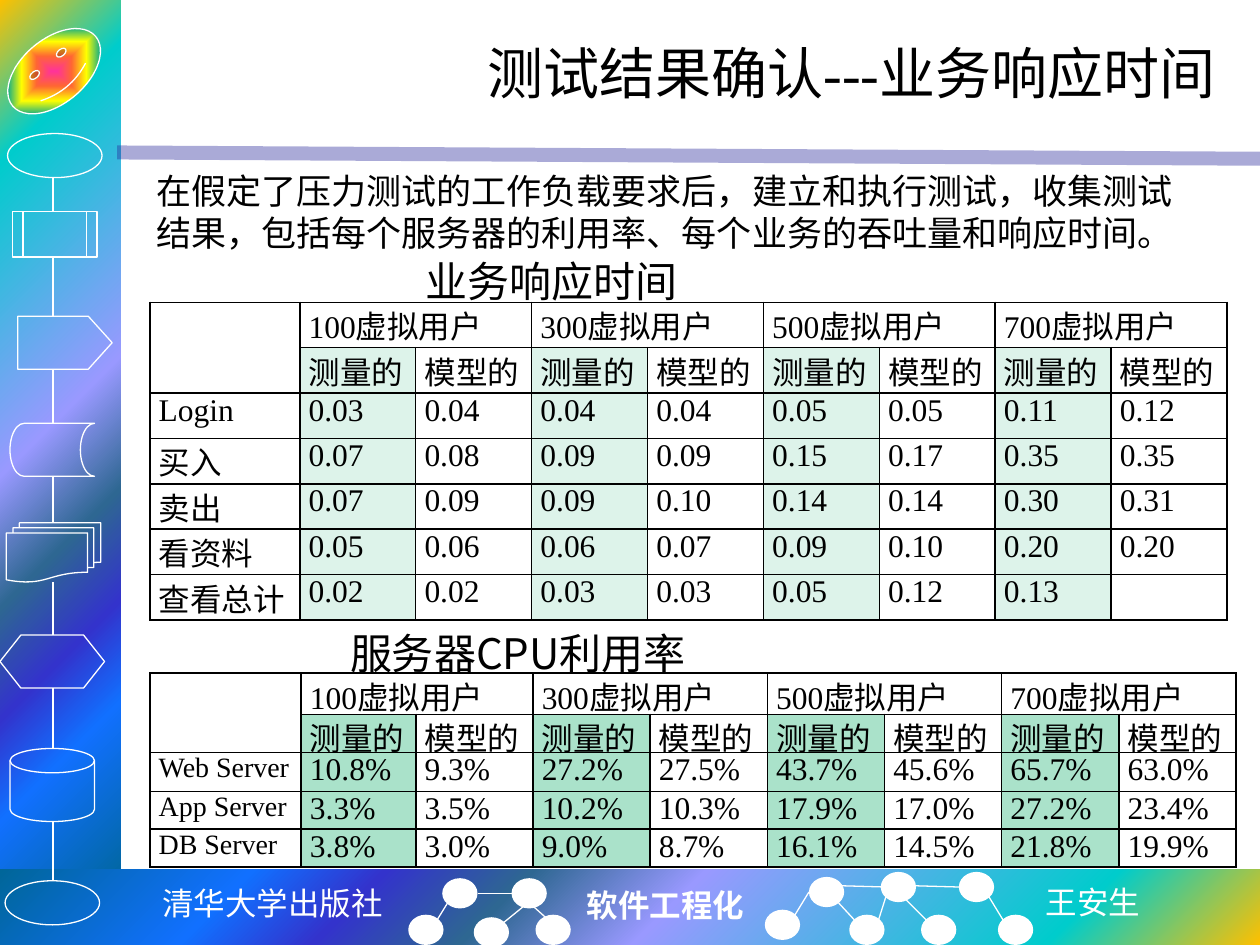
from dataclasses import dataclass

from lxml import etree
from pptx import Presentation
from pptx.dml.color import RGBColor
from pptx.enum import shapes, text
from pptx.oxml import ns
from pptx.util import Inches, Pt

KIND = shapes.MSO_SHAPE
ALIGN = text.PP_ALIGN


@dataclass(frozen=True)
class Theme:
    """Colours, fonts and type sizes of the slide."""
    ink: str = "000000"
    white: str = "FFFFFF"
    rule: str = "262699"
    pale_green: str = "DDF3EA"
    green: str = "AAE2CA"
    sea: tuple = ((0, "FFC000"), (16, "00CCCC"), (47, "9999FF"), (60, "2E6792"),
                  (71, "3333CC"), (81, "1170FF"), (100, "006699"))
    rainbow: tuple = ((0, "FF3399"), (25, "FF6633"), (50, "FFFF00"),
                      (75, "01A78F"), (100, "3366FF"))
    serif: str = "Times New Roman"
    sans: str = "Noto Sans CJK SC"
    mono: str = "DejaVu Sans Mono"
    title: int = 32
    caption: int = 24
    body: int = 20
    cell: int = 18
    small: int = 16


THEME = Theme()


def child(parent, tag, **attributes):
    """Append a DrawingML element and return it."""
    return etree.SubElement(parent, ns.qn("a:" + tag), attributes)


def add_run(paragraph, words, size, font=THEME.serif, color=THEME.ink, bold=False):
    """Add one formatted run."""
    run = paragraph.add_run()
    run.text = words
    run.font.size, run.font.name, run.font.bold = Pt(size), font, bold
    run.font.color.rgb = RGBColor.from_string(color)


def add_text(slide, box, words, size, font=THEME.serif, color=THEME.ink,
             align=ALIGN.LEFT, wrap=True, bold=False, anchor=text.MSO_ANCHOR.TOP):
    """Place one paragraph in a text box."""
    frame = slide.shapes.add_textbox(*map(Inches, box)).text_frame
    frame.word_wrap, frame.vertical_anchor = wrap, anchor
    frame.paragraphs[0].alignment = align
    add_run(frame.paragraphs[0], words, size, font, color, bold)


def add_figure(slide, kind, box, fill=None, outlined=True):
    """Place a preset shape with an optional fill and a thin white outline."""
    figure = slide.shapes.add_shape(kind, *map(Inches, box))
    figure.shadow.inherit = False
    if fill:
        figure.fill.solid()
        figure.fill.fore_color.rgb = RGBColor.from_string(fill)
    else:
        figure.fill.background()
    if outlined:
        figure.line.width = Pt(0.75)
        figure.line.color.rgb = RGBColor.from_string(THEME.white)
    else:
        figure.line.fill.background()
    return figure


def add_gradient(figure, stops, spread, focus):
    """Fill a shape with a gradient that spreads from the focus rectangle."""
    gradient = etree.Element(ns.qn("a:gradFill"), rotWithShape="1")
    stop_list = child(gradient, "gsLst")
    for position, color in stops:
        child(child(stop_list, "gs", pos=str(position * 1000)), "srgbClr", val=color)
    course = child(gradient, "path", **{"path": spread})
    child(course, "fillToRect", **{side: str(share * 1000) for side, share in zip("ltrb", focus)})
    properties = figure._element.spPr
    properties.replace(properties.find(ns.qn("a:noFill")), gradient)


def add_line(slide, start, end, color=THEME.white, width=0.75):
    """Draw a straight line."""
    line = slide.shapes.add_connector(shapes.MSO_CONNECTOR.STRAIGHT, *map(Inches, start + end))
    line.line.color.rgb = RGBColor.from_string(color)
    line.line.width = Pt(width)
    child(line._element.spPr, "effectLst")
    return line


def add_band(slide, box, focus):
    """Draw a borderless band with the sea gradient."""
    band = add_figure(slide, KIND.RECTANGLE, box, outlined=False)
    add_gradient(band, THEME.sea, "circle", focus)


def add_flowchart(slide, box):
    """Draw the column of flowchart symbols on the side band."""
    left, top = box[:2]
    face = add_figure(slide, KIND.SMILEY_FACE, (left, top + 0.31, 0.86, 0.51))
    face.adjustments[0] = 0.047
    face.rotation = -40
    add_gradient(face, THEME.rainbow, "shape", (50, 50, 50, 50))
    symbols = [
        (KIND.OVAL, 0.06, 1.06, 0.75, 0.35),
        (KIND.FLOWCHART_PREDEFINED_PROCESS, 0.1, 1.68, 0.67, 0.36),
        (KIND.PENTAGON, 0.14, 2.51, 0.75, 0.42),
        (KIND.FLOWCHART_STORED_DATA, 0.08, 3.36, 0.67, 0.42),
        (KIND.FLOWCHART_MULTIDOCUMENT, 0.05, 4.15, 0.75, 0.47),
        (KIND.FLOWCHART_PREPARATION, 0, 5.04, 0.83, 0.42),
        (KIND.FLOWCHART_MAGNETIC_DISK, 0.08, 5.94, 0.67, 0.58),
        (KIND.OVAL, 0.04, 6.99, 0.75, 0.35),
    ]
    for kind, x, y, width, height in symbols:
        symbol = add_figure(slide, kind, (left + x, top + y, width, height))
        if kind == KIND.PENTAGON:
            symbol.adjustments[0] = 0.45
    for upper, lower in zip(symbols, symbols[1:]):
        add_line(slide, (left + 0.42, top + upper[2] + upper[4]), (left + 0.42, top + lower[2]))


def add_footer(slide, box):
    """Place the labels and node networks on the bottom band."""
    left, top = box[:2]
    labels = [
        ("清华大学出版社", 1.19, 0.07, 1.97, THEME.mono, False),
        ("软件工程化", 4.56, 0.08, 1.46, THEME.serif, True),
        ("王安生", 8.2, 0.06, 0.96, THEME.sans, False),
    ]
    for words, x, y, width, font, bold in labels:
        add_text(slide, (left + x, top + y, width, 0.4), words, THEME.cell, font,
                 THEME.white, wrap=False, bold=bold)
    nodes = [(3.24, 0.36), (3.51, 0.07), (3.76, 0.38), (4.06, 0.07), (4.25, 0.36),
             (6.07, 0.32), (6.42, 0.06), (6.74, 0.36), (6.99, 0.02), (7.31, 0.36),
             (7.61, 0.02), (7.92, 0.36)]
    for x, y in nodes:
        add_figure(slide, KIND.OVAL, (left + x, top + y, 0.28, 0.24), THEME.white, False)
    links = [(3.47, 0.4, 3.55, 0.27), (4, 0.42, 4.16, 0.29), (4.06, 0.19, 3.79, 0.19),
             (4.34, 0.39, 4.24, 0.3), (6.31, 0.36, 6.42, 0.18), (6.78, 0.4, 6.65, 0.26),
             (6.68, 0.13, 7.03, 0.14), (6.97, 0.41, 7.03, 0.22), (7.35, 0.4, 7.15, 0.2),
             (7.26, 0.13, 7.61, 0.14), (7.96, 0.4, 7.85, 0.22)]
    for x1, y1, x2, y2 in links:
        add_line(slide, (left + x1, top + y1), (left + x2, top + y2))


def style_cell(cell, words, size, fill):
    """Write a table cell with its fill and black borders."""
    cell.margin_left = cell.margin_right = Inches(0.07)
    cell.margin_top = cell.margin_bottom = 0
    paragraph = cell.text_frame.paragraphs[0]
    paragraph.alignment = ALIGN.JUSTIFY
    paragraph.font.size = Pt(size)
    if words:
        add_run(paragraph, words, size)
    for side in ("lnL", "lnR", "lnT", "lnB"):
        border = child(cell._tc.get_or_add_tcPr(), side, w=str(Pt(1)))
        child(child(border, "solidFill"), "srgbClr", val=THEME.ink)
    if fill:
        cell.fill.solid()
        cell.fill.fore_color.rgb = RGBColor.from_string(fill)
    else:
        cell.fill.background()


def add_results(slide, box, widths, heights, records, fill, label_size):
    """Build a table of measured and modelled values per user load."""
    loads = [""]
    for users in (100, 300, 500, 700):
        loads += [f"{users}虚拟用户", ""]
    rows = [loads, [""] + ["测量的", "模型的"] * 4] + [record.split("|") for record in records]
    frame = slide.shapes.add_table(len(rows), len(widths), *map(Inches, box))
    table = frame.table
    table.first_row = table.horz_banding = False
    for column, width in zip(table.columns, widths):
        column.width = Inches(width)
    for row, height in zip(table.rows, heights):
        row.height = Inches(height)
    frame.height = Inches(box[3])
    for r, row in enumerate(rows):
        for c, words in enumerate(row):
            size = label_size if r > 1 and c == 0 else THEME.cell
            style_cell(table.cell(r, c), words, size, fill if r and c % 2 else None)
    table.cell(0, 0).merge(table.cell(1, 0))
    for c in range(1, len(widths), 2):
        table.cell(0, c).merge(table.cell(0, c + 1))


def add_heading(slide, box):
    """Place the title and the translucent rule below it."""
    left, top, width, height = box
    rule = add_line(slide, (left - 0.32, top + 1.04), (left + 8.75, top + 1.09), THEME.rule, 8)
    child(rule._element.spPr.find(".//" + ns.qn("a:srgbClr")), "alpha", val="39000")
    add_text(slide, (left, top, width, height), "测试结果确认---业务响应时间", THEME.title,
             align=ALIGN.RIGHT, anchor=text.MSO_ANCHOR.MIDDLE)


def main():
    """Build and save the slide."""
    deck = Presentation()
    deck.slide_width, deck.slide_height = Inches(10), Inches(7.5)
    slide = deck.slides.add_slide(deck.slide_layouts[6])
    side, bottom = (0, 0, 0.96, 7.09), (0, 6.9, 10, 0.6)
    add_band(slide, side, (0, 0, 100, 100))
    add_band(slide, bottom, (100, 100, 0, 0))
    add_flowchart(slide, side)
    add_footer(slide, bottom)
    add_heading(slide, (1.25, 0.17, 8.5, 0.81))
    add_text(slide, (1.14, 1.3, 8.52, 0.77),
             "在假定了压力测试的工作负载要求后，建立和执行测试，收集测试结果，"
             "包括每个服务器的利用率、每个业务的吞吐量和响应时间。", THEME.body)
    add_results(slide, (1.19, 2.4, 8.56, 2.52), [1.19] + [0.92] * 8, [0.36] * 7, [
        "Login|0.03|0.04|0.04|0.04|0.05|0.05|0.11|0.12",
        "买入|0.07|0.08|0.09|0.09|0.15|0.17|0.35|0.35",
        "卖出|0.07|0.09|0.09|0.10|0.14|0.14|0.30|0.31",
        "看资料|0.05|0.06|0.06|0.07|0.09|0.10|0.20|0.20",
        "查看总计|0.02|0.02|0.03|0.03|0.05|0.12|0.13|",
    ], THEME.pale_green, THEME.cell)
    add_text(slide, (3.28, 1.98, 2.22, 0.5), "业务响应时间", THEME.caption, THEME.sans, wrap=False)
    add_results(slide, (1.19, 5.34, 8.59, 1.54), [1.2, 0.91] + [0.93] * 7, [0.33, 0, 0.31, 0, 0], [
        "Web Server|10.8%|9.3%|27.2%|27.5%|43.7%|45.6%|65.7%|63.0%",
        "App Server|3.3%|3.5%|10.2%|10.3%|17.9%|17.0%|27.2%|23.4%",
        "DB Server|3.8%|3.0%|9.0%|8.7%|16.1%|14.5%|21.8%|19.9%",
    ], THEME.green, THEME.small)
    add_text(slide, (2.68, 4.93, 5.94, 0.5), "服务器CPU利用率", THEME.caption, THEME.sans)
    deck.save("out.pptx")


if __name__ == "__main__":
    main()
